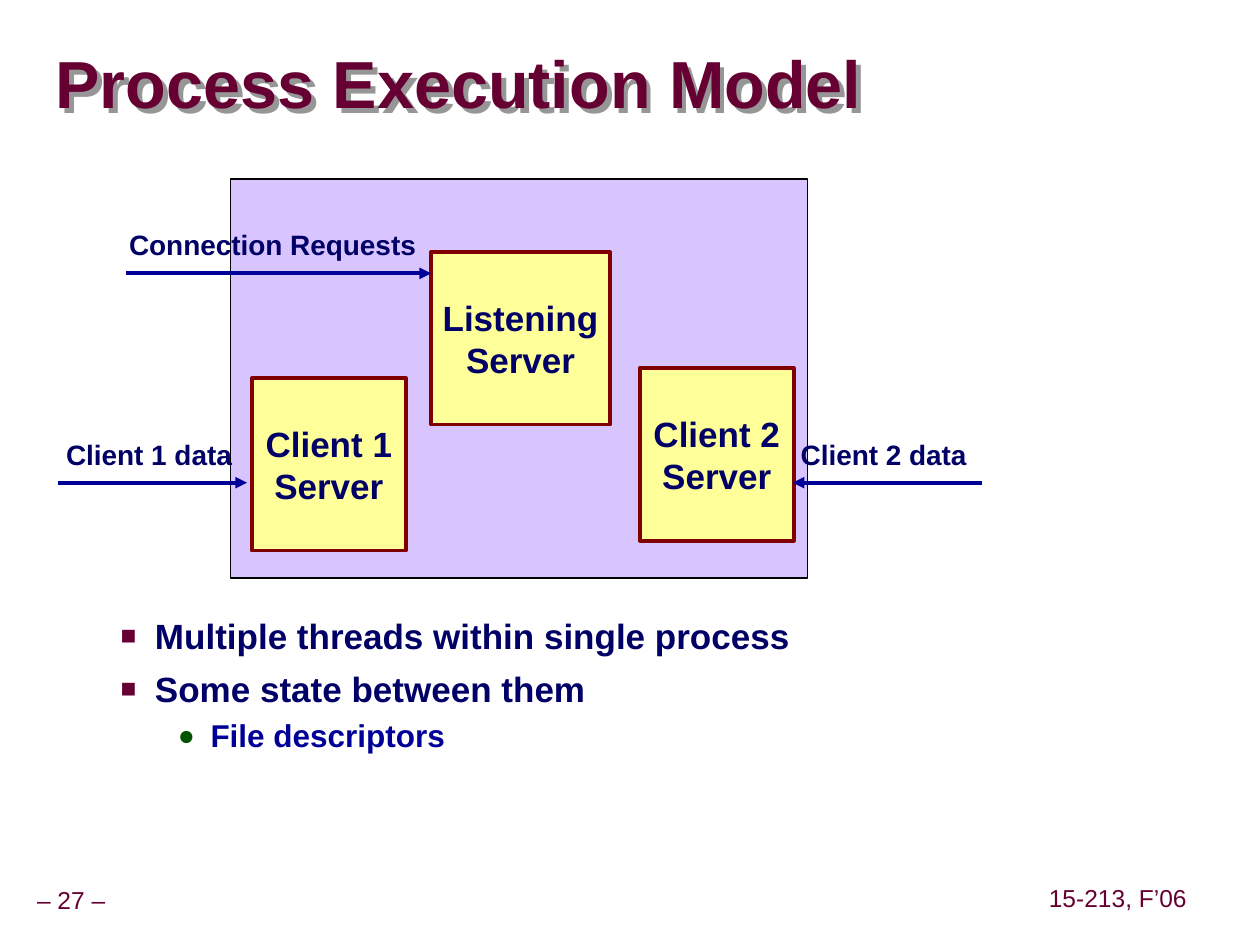
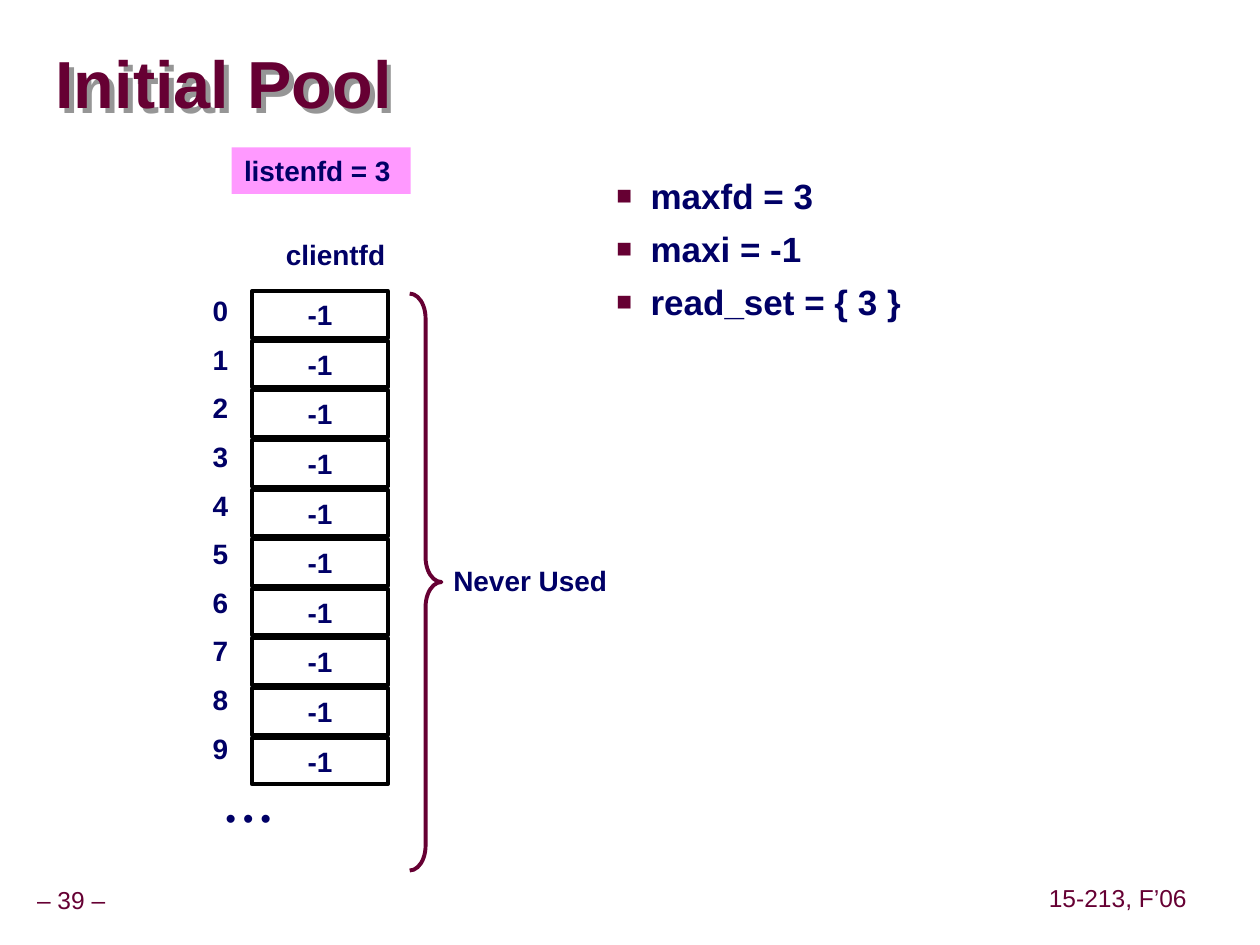
"""Builds two lecture slides on concurrent servers."""
from lxml import etree
from pptx import Presentation
from pptx.dml.color import RGBColor
from pptx.enum.shapes import MSO_CONNECTOR, MSO_SHAPE
from pptx.enum.text import MSO_ANCHOR, MSO_AUTO_SIZE, PP_ALIGN
from pptx.oxml.ns import qn
from pptx.util import Cm, Pt

MAROON = RGBColor(0x66, 0x00, 0x33)
NAVY = RGBColor(0x00, 0x00, 0x66)
BLUE = RGBColor(0x00, 0x00, 0x99)
GREEN = RGBColor(0x00, 0x54, 0x00)
DARK_RED = RGBColor(0x80, 0x00, 0x00)
YELLOW = RGBColor(0xFF, 0xFF, 0x99)
PURPLE = RGBColor(0x99, 0x66, 0xFF)
PINK = RGBColor(0xFF, 0x99, 0xFF)
BLACK = RGBColor(0x00, 0x00, 0x00)
GRAY = RGBColor(0x96, 0x96, 0x96)

LEFT, CENTER, RIGHT = PP_ALIGN.LEFT, PP_ALIGN.CENTER, PP_ALIGN.RIGHT
TOP, MIDDLE = MSO_ANCHOR.TOP, MSO_ANCHOR.MIDDLE
FIXED_SIZE = MSO_AUTO_SIZE.NONE
RECTANGLE, RIGHT_BRACE = MSO_SHAPE.RECTANGLE, MSO_SHAPE.RIGHT_BRACE
STRAIGHT = MSO_CONNECTOR.STRAIGHT

FONT = "Arial"
LABEL_HEIGHT = 0.94
COURSE = "15-213, F’06"
BULLETS = {
    1: dict(char="■", color=MAROON, percent=75, margin=2.06, hang=0.69,
            size=20, text_color=NAVY, before=6.2, spacing=1.0),
    2: dict(char="●", color=GREEN, percent=90, margin=3.18, hang=0.66,
            size=18, text_color=BLUE, before=2.2, spacing=1.07),
}


def add_child(parent, tag, **attributes):
    """Append a DrawingML element."""
    child = etree.SubElement(parent, qn(tag))
    for key, value in attributes.items():
        child.set(key, str(value))
    return child


class Deck:
    """Holds the shared style and the current slide."""

    def __init__(self):
        self.presentation = Presentation()
        self.presentation.slide_width = Cm(25.4)
        self.presentation.slide_height = Cm(19.05)
        self.slide = None

    def new_slide(self, title, number):
        """Start a slide with its title and footers."""
        layout = self.presentation.slide_layouts[1]
        self.slide = self.presentation.slides.add_slide(layout)
        heading = self.slide.shapes.title
        self.place(heading, 1.12, 0.69, 24.21, 2.16)
        self.set_text(heading.text_frame, title, 38, MAROON, LEFT, inset=(0, 0), wrap=True)
        heading.text_frame.paragraphs[0].line_spacing = 0.87
        effects = add_child(heading._element.spPr, "a:effectLst")
        shadow = add_child(effects, "a:outerShdw", dist=50000, dir=2700000, algn="ctr", rotWithShape=0)
        add_child(shadow, "a:srgbClr", val=GRAY)
        for text, left, top, width in ((f"– {number} –", 0, 17.78, 2.87),
                                       (COURSE, 21.01, 17.75, 3.05)):
            footer = self.label(text, left, top, width, CENTER, height=0.79,
                                size=14, color=MAROON, bold=False, inset=(0.13, 0.13))
            footer.text_frame.paragraphs[0].line_spacing = 0.9

    def place(self, item, left, top, width, height):
        """Move and size an element, in centimetres."""
        item.left, item.top = Cm(left), Cm(top)
        item.width, item.height = Cm(width), Cm(height)

    def style(self, font, size, color, bold=True):
        """Apply the deck font."""
        font.name, font.size, font.bold = FONT, Pt(size), bold
        font.color.rgb = color

    def set_text(self, frame, text, size, color, align, bold=True, inset=(0.25, 0.13), wrap=False):
        """Fill a text frame, one paragraph per line."""
        frame.auto_size = FIXED_SIZE
        frame.word_wrap = wrap
        frame.vertical_anchor = MIDDLE
        frame.margin_left = frame.margin_right = Cm(inset[0])
        frame.margin_top = frame.margin_bottom = Cm(inset[1])
        frame.text = text
        for paragraph in frame.paragraphs:
            paragraph.alignment = align
            self.style(paragraph.font, size, color, bold)

    def label(self, text, left, top, width, align, height=LABEL_HEIGHT,
              size=16, color=NAVY, **options):
        """Add a free-standing line of text."""
        box = self.slide.shapes.add_textbox(Cm(left), Cm(top), Cm(width), Cm(height))
        self.set_text(box.text_frame, text, size, color, align, **options)
        return box

    def shape(self, left, top, width, height, kind=RECTANGLE, fill=None,
              line=None, weight=2.25, opacity=None):
        """Add a preset shape without shadow."""
        item = self.slide.shapes.add_shape(kind, Cm(left), Cm(top), Cm(width), Cm(height))
        item.shadow.inherit = False
        if fill is None:
            item.fill.background()
        else:
            item.fill.solid()
            item.fill.fore_color.rgb = fill
        if opacity is not None:
            tint = item._element.spPr.find(qn("a:solidFill")).find(qn("a:srgbClr"))
            add_child(tint, "a:alpha", val=opacity * 1000)
        if line is None:
            item.line.fill.background()
        else:
            item.line.color.rgb = line
            item.line.width = Pt(weight)
        return item

    def box(self, text, left, top, width, height=LABEL_HEIGHT, size=16, align=CENTER, **look):
        """Add a rectangle with text."""
        item = self.shape(left, top, width, height, **look)
        self.set_text(item.text_frame, text, size, NAVY, align)

    def arrow(self, start, end, level):
        """Add a horizontal arrow."""
        arrow = self.slide.shapes.add_connector(STRAIGHT, Cm(start), Cm(level), Cm(end), Cm(level))
        arrow.line.color.rgb = BLUE
        arrow.line.width = Pt(2.25)
        properties = arrow._element.spPr
        add_child(properties.find(qn("a:ln")), "a:tailEnd", type="triangle")
        add_child(properties, "a:effectLst")

    def bullets(self, entries, left, top, width, height):
        """Fill the body placeholder from (level, text) pairs."""
        body = self.slide.placeholders[1]
        self.place(body, left, top, width, height)
        frame = body.text_frame
        frame.auto_size = FIXED_SIZE
        frame.vertical_anchor = TOP
        frame.text = "\n".join(text for _, text in entries)
        for index, (paragraph, (level, _)) in enumerate(zip(frame.paragraphs, entries)):
            look = BULLETS[level]
            paragraph.level = level
            paragraph.line_spacing = look["spacing"]
            paragraph.space_before = Pt(look["before"] if index else 0)
            properties = paragraph._p.get_or_add_pPr()
            properties.set("marL", str(Cm(look["margin"])))
            properties.set("indent", str(-Cm(look["hang"])))
            add_child(add_child(properties, "a:buClr"), "a:srgbClr", val=look["color"])
            add_child(properties, "a:buSzPct", val=look["percent"] * 1000)
            add_child(properties, "a:buChar", char=look["char"])
            self.style(paragraph.font, look["size"], look["text_color"])


def execution_model(deck):
    """Build the process diagram slide."""
    deck.new_slide("Process Execution Model", 27)
    deck.shape(4.65, 3.61, 11.63, 8.05, fill=PURPLE, opacity=38, line=BLACK, weight=1)
    deck.bullets([(1, "Multiple threads within single process"),
                  (1, "Some state between them"),
                  (2, "File descriptors")], 0.81, 12.27, 23.09, 5.61)
    for role, left, top, width in (("Client 1", 5.08, 7.62, 3.1),
                                   ("Client 2", 12.9, 7.42, 3.1),
                                   ("Listening", 8.69, 5.08, 3.61)):
        deck.box(f"{role}\nServer", left, top, width, 3.48, size=20, fill=YELLOW, line=DARK_RED)
    for message, left, width, start, end, level in (
            ("Connection Requests", 2.34, 6.3, 2.54, 8.69, 5.51),
            ("Client 1 data", 1.07, 3.86, 1.17, 4.98, 9.73),
            ("Client 2 data", 15.88, 3.86, 19.79, 15.98, 9.73)):
        deck.arrow(start, end, level)
        deck.label(message, left, level - 1.05, width, RIGHT)


def initial_pool(deck):
    """Build the descriptor pool slide."""
    deck.new_slide("Initial Pool", 39)
    deck.bullets([(1, "maxfd = 3"), (1, "maxi = -1"), (1, "read_set = { 3 }")],
                 10.8, 3.4, 13.08, 14.5)
    deck.label("clientfd", 5.51, 4.65, 2.51, CENTER)
    for slot in range(10):
        deck.box("-1", 5.08, 5.87 + slot, 2.74, line=BLACK)
        deck.label(str(slot), 2.11, 5.79 + 0.98 * slot, 2.74, RIGHT)
    deck.label("• • •", 2.97, 16, 2.74, RIGHT)
    brace = deck.shape(8.26, 5.92, 0.64, 11.63, kind=RIGHT_BRACE, line=MAROON)
    brace.adjustments[0] = 0.78
    deck.label("Never Used", 8.89, 11.23, 3.61, LEFT)
    deck.box("listenfd = 3", 4.67, 2.97, 3.61, align=LEFT, fill=PINK)


def main():
    """Build and save the deck."""
    deck = Deck()
    execution_model(deck)
    initial_pool(deck)
    deck.presentation.save("out.pptx")


if __name__ == "__main__":
    main()
